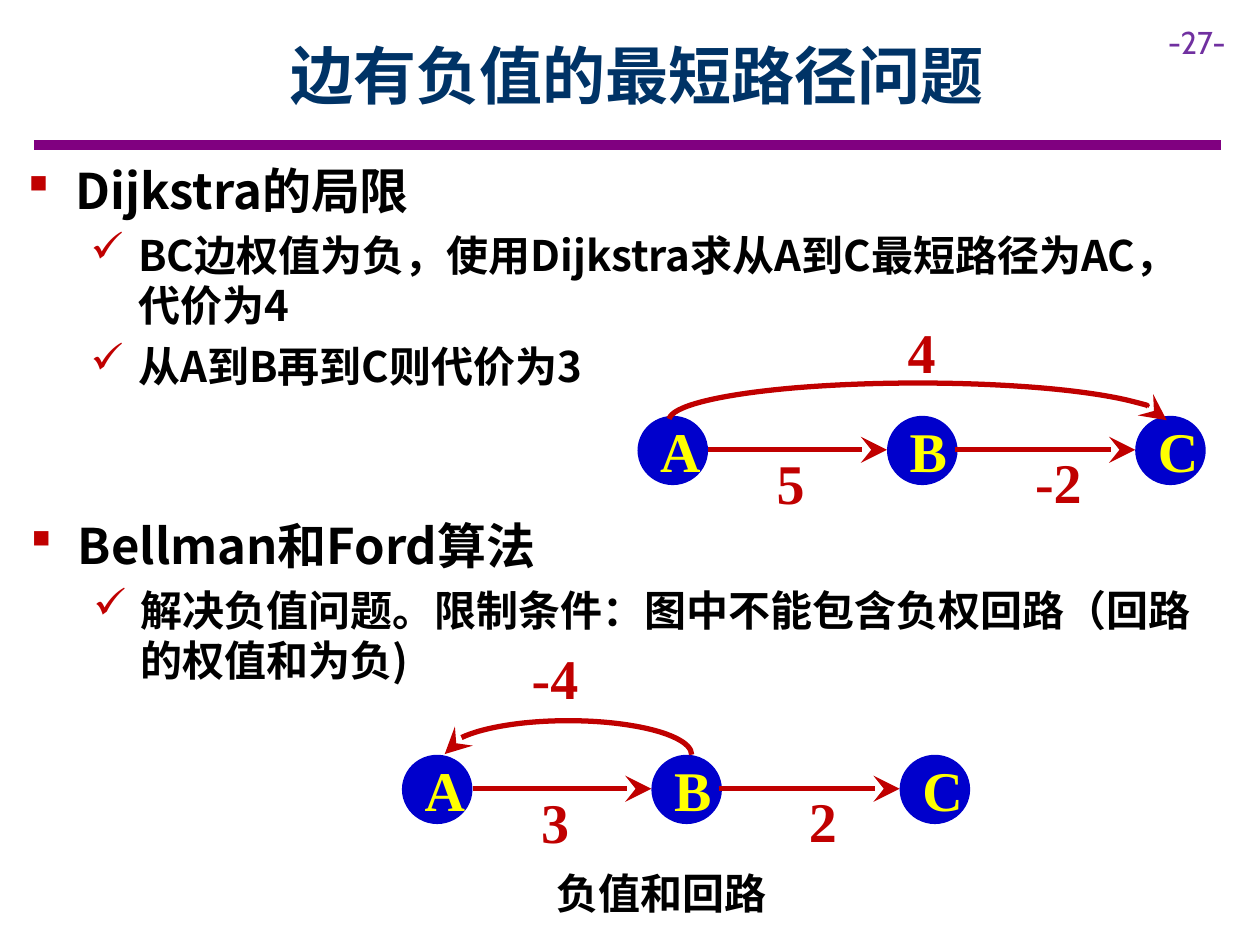
from lxml import etree
from pptx import Presentation
from pptx import util as u
from pptx.dml.color import RGBColor
from pptx.enum import shapes, text
from pptx.oxml.ns import qn

COLUMNS, ROWS = 100, 75
SANS, SERIF = "Noto Sans CJK SC", "Times New Roman"
BLACK, RED, BLUE, YELLOW = "000000", "C00000", "0000CC", "FFFF00"
PURPLE, VIOLET, NAVY, WHITE = "800080", "7030A0", "003366", "FFFFFF"
SQUARE, CHECK = "§", "ü"  # Wingdings codes


def color(value):
    """Turn a hex string into a colour."""
    return RGBColor.from_string(value)


def child(parent, tag, **attributes):
    """Append an XML element with the given attributes."""
    return etree.SubElement(parent, qn(tag), attributes)


class Board:
    """Holds the style and the slide; lengths are grid columns and rows."""

    def __init__(self, presentation):
        """Add a blank slide and measure its grid."""
        self.slide = presentation.slides.add_slide(presentation.slide_layouts[6])
        self.column = presentation.slide_width / COLUMNS
        self.row = presentation.slide_height / ROWS

    def place(self, x, y):
        """Convert a grid pair to slide lengths."""
        return u.Emu(round(x * self.column)), u.Emu(round(y * self.row))

    def style(self, paragraph, size, font, ink, bold=True, align=None):
        """Set the font of a paragraph, East Asian text included."""
        paragraph.font.size = u.Pt(size)
        paragraph.font.name = font
        paragraph.font.bold = bold
        paragraph.font.color.rgb = color(ink)
        paragraph.alignment = align
        for run in paragraph.runs:
            child(run._r.get_or_add_rPr(), "a:ea", typeface=font)

    def frame(self, shape, insets, anchor):
        """Prepare the text frame of a shape."""
        frame = shape.text_frame
        frame.word_wrap = True
        frame.vertical_anchor = anchor
        frame.margin_left = frame.margin_right = u.Inches(insets[0])
        frame.margin_top = frame.margin_bottom = u.Inches(insets[1])
        return frame

    def textbox(self, box, words, size, font, ink, bold=True, align=None,
                insets=(0.1, 0.05), anchor=text.MSO_ANCHOR.TOP):
        """Add a text box with one paragraph."""
        shape = self.slide.shapes.add_textbox(*self.place(*box[:2]), *self.place(*box[2:]))
        paragraph = self.frame(shape, insets, anchor).paragraphs[0]
        paragraph.text = words
        self.style(paragraph, size, font, ink, bold, align)
        return shape

    def outline(self, box, items):
        """Add a list; items are (text, size, level, indent, bullet)."""
        shape = self.slide.shapes.add_textbox(*self.place(*box[:2]), *self.place(*box[2:]))
        frame = self.frame(shape, (0.1, 0.05), text.MSO_ANCHOR.TOP)
        for index, (words, size, level, indent, bullet) in enumerate(items):
            paragraph = frame.add_paragraph() if index else frame.paragraphs[0]
            paragraph.text = words
            paragraph.level = level
            paragraph.space_after = u.Pt(6)
            paragraph.line_spacing = u.Pt(round(size * 1.19, 1))
            properties = paragraph._p.get_or_add_pPr()
            properties.set("marL", str(u.Inches(indent)))
            properties.set("indent", str(u.Inches(-0.38 if bullet else 0)))
            if bullet:
                child(child(properties, "a:buClr"), "a:srgbClr", val=RED)
                child(properties, "a:buFont", typeface="Wingdings", charset="2")
                child(properties, "a:buChar", char=bullet)
            self.style(paragraph, size, SANS, BLACK)

    def pen(self, shape, ink, width, arrow=None):
        """Style a line and give it an arrowhead at the named end."""
        shape.line.color.rgb = color(ink)
        shape.line.width = u.Pt(width)
        if arrow:
            child(shape.line._get_or_add_ln(), arrow, type="stealth", w="lg", len="lg")

    def line(self, start, end, ink, width, arrow=None):
        """Add a straight connector."""
        connector = self.slide.shapes.add_connector(
            shapes.MSO_CONNECTOR.STRAIGHT, *self.place(*start), *self.place(*end))
        self.pen(connector, ink, width, arrow)
        child(connector._element.spPr, "a:effectLst")

    def arc(self, box, arrow):
        """Add the upper half of an ellipse with an arrowhead."""
        arc = self.slide.shapes.add_shape(
            shapes.MSO_SHAPE.ARC, *self.place(*box[:2]), *self.place(*box[2:]))
        arc.shadow.inherit = False
        arc.adjustments[0], arc.adjustments[1] = 108.175, 0
        arc.fill.background()
        self.pen(arc, RED, 3, arrow)

    def node(self, x, y, name):
        """Add a round graph node."""
        node = self.slide.shapes.add_shape(
            shapes.MSO_SHAPE.OVAL, *self.place(x, y), *self.place(5.6, 5.5))
        node.shadow.inherit = False
        node.fill.solid()
        node.fill.fore_color.rgb = color(BLUE)
        node.line.fill.background()
        paragraph = self.frame(node, (0.1, 0.1), text.MSO_ANCHOR.MIDDLE).paragraphs[0]
        paragraph.text = name
        self.style(paragraph, 32, SERIF, YELLOW, align=text.PP_ALIGN.CENTER)

    def weight(self, box, value, filled=True):
        """Add the weight of an edge."""
        label = self.textbox(box, value, 32, SERIF, RED, align=text.PP_ALIGN.CENTER,
                             insets=(0, 0.1), anchor=text.MSO_ANCHOR.MIDDLE)
        if filled:
            label.fill.solid()
            label.fill.fore_color.rgb = color(WHITE)

    def graph(self, x, y, weights, arc, arc_arrow, arc_label):
        """Add nodes A, B and C, their two edges and one arc."""
        self.weight((*arc_label, 4.5, 4.1), weights[2])
        for name, offset in zip("ABC", (0, 19.8, 39.5)):
            self.node(x + offset, y, name)
        for start, end in ((5.6, 19.8), (25.2, 39.5)):
            self.line((x + start, y + 2.7), (x + end, y + 2.7), RED, 3, "a:tailEnd")
        self.weight((x + 9.9, y + 3.2, 4.5, 4.1), weights[0])
        self.weight((x + 30, y + 2.5, 6.8, 5.4), weights[1], filled=False)
        self.arc(arc, arc_arrow)


def main():
    """Build the slide and save it."""
    presentation = Presentation()
    presentation.slide_width, presentation.slide_height = u.Inches(10), u.Inches(7.5)
    board = Board(presentation)
    board.line((2.7, 11.5), (96.9, 11.5), PURPLE, 6)
    board.textbox((91.7, 1.3, 8.3, 4), "-27-", 18, "Cabin", VIOLET, bold=False)
    board.textbox((9, 0.9, 83.1, 10), "边有负值的最短路径问题", 36, SANS, NAVY,
                  align=text.PP_ALIGN.CENTER, anchor=text.MSO_ANCHOR.MIDDLE)
    board.outline((1.2, 12.3, 95.3, 19.5), [
        ("Dijkstra的局限", 28, 0, 0.38, SQUARE),
        ("BC边权值为负，使用Dijkstra求从A到C最短路径为AC，代价为4", 24, 1, 0.88, CHECK),
        ("从A到B再到C则代价为3", 24, 1, 0.88, CHECK)])
    board.graph(50.6, 33, ("5", "-2", "4"), (53.1, 30.4, 39.5, 5.9),
                "a:tailEnd", (70.9, 25.8))
    board.outline((1.4, 40.5, 95.3, 14.6), [
        ("Bellman和Ford算法", 28, 0, 0.38, SQUARE),
        ("解决负值问题。限制条件：图中不能包含负权回路（回路的权值和为负)", 24, 1, 0.88, CHECK)])
    board.graph(31.9, 59.9, ("3", "2", "-4"), (35.3, 57.2, 19.6, 5.4),
                "a:headEnd", (41.8, 51.7))
    board.outline((38.2, 68.4, 26, 5), [("负值和回路", 24, 1, 0.5, None)])
    presentation.save("out.pptx")


main()
